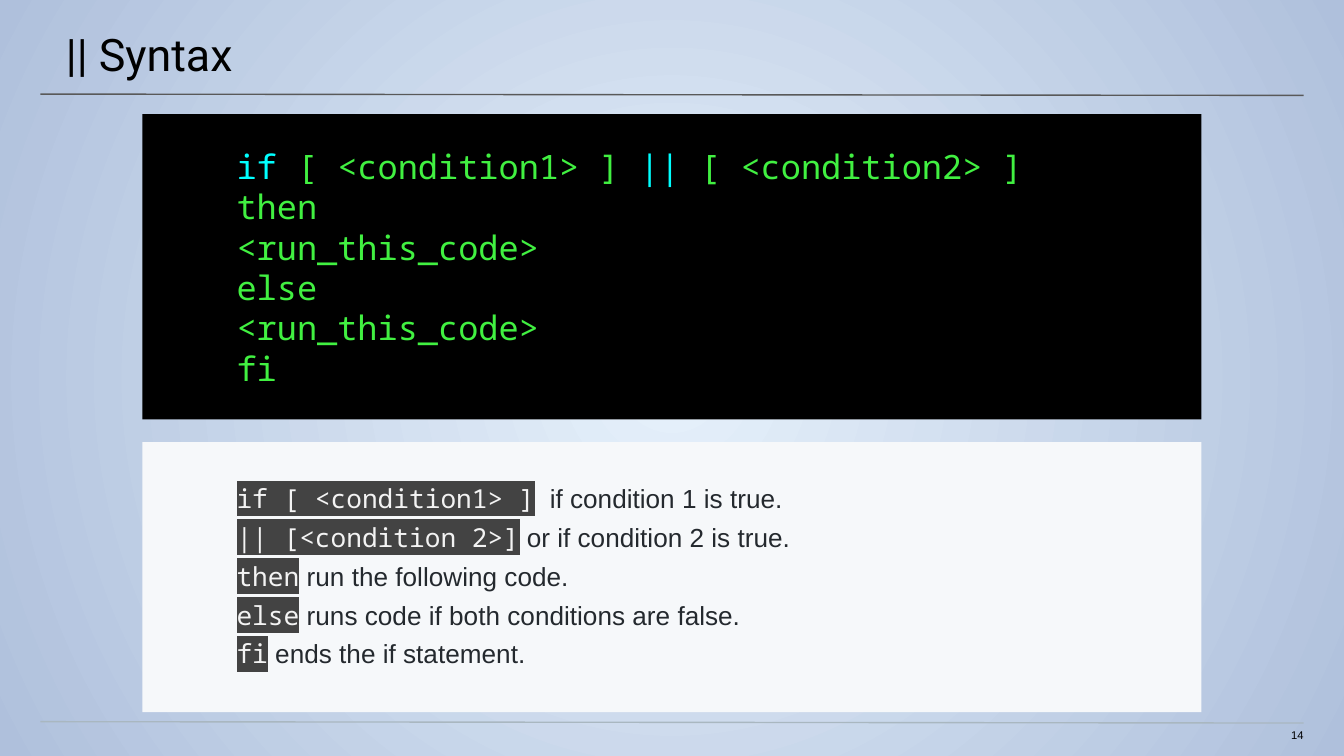
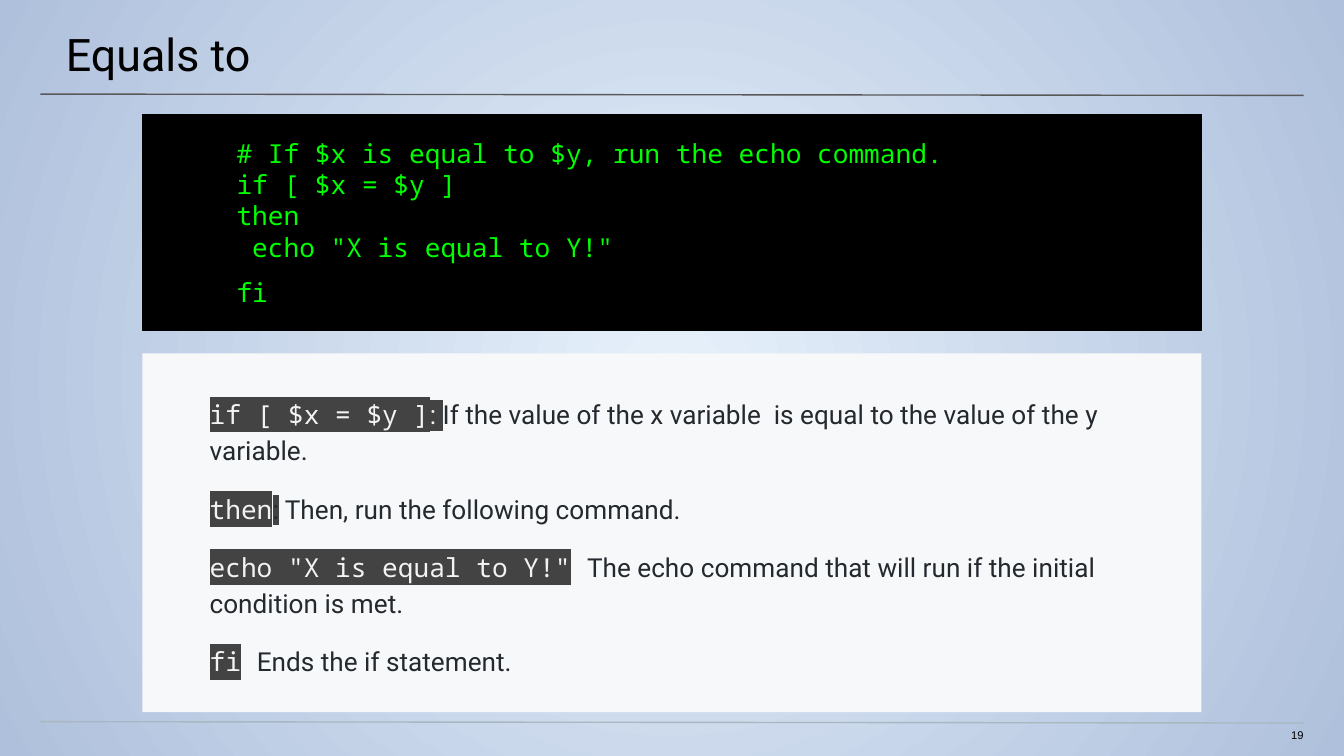
import pptx
import pptx.util
import pptx.dml.color
import pptx.enum.shapes
import pptx.enum.text
import pptx.oxml.ns
from dataclasses import dataclass
from lxml import etree

Inches = pptx.util.Inches
Pt = pptx.util.Pt
qn = pptx.oxml.ns.qn
Align = pptx.enum.text.PP_ALIGN
Anchor = pptx.enum.text.MSO_ANCHOR


# Theme: colours, type sizes and span styles (font, colour, highlight)
@dataclass(frozen=True)
class Theme:
    glow: str = "E6F1FB"
    edge: str = "AFC0DC"
    title_rule: str = "595959"
    footer_rule: str = "A9B7C0"
    terminal: str = "000000"
    paper: str = "F6F8FA"
    ink: str = "24292E"
    pale: str = "F3F3F3"
    chip: str = "434343"
    title_size: int = 24
    large_code_size: int = 18
    body_size: int = 14
    number_size: int = 6


THEME = Theme()
MONO, SANS, ROBOTO = "Noto Sans Mono", "Arial", "Roboto"
STYLES = {
    "title": (ROBOTO, "000000", None),
    "number": (SANS, "000000", None),
    "keyword": (MONO, "00FFFF", THEME.terminal),
    "syntax": (MONO, "41F041", THEME.terminal),
    "command": (MONO, "00FF00", None),
    "chip": (MONO, THEME.pale, THEME.chip),
    "chip colon": (ROBOTO, THEME.pale, THEME.chip),
    "chip dark": (ROBOTO, THEME.ink, THEME.chip),
    "gap": (MONO, THEME.ink, None),
    "plain": (SANS, THEME.ink, None),
    "note": (ROBOTO, THEME.ink, None),
}

# Content: each line is a list of (style, text) spans
SLIDES = [
    dict(
        title="|| Syntax", number="14",
        code=dict(
            height=2.27, insets=(0.7, 0.4, 0.1, 0.4), size=THEME.large_code_size,
            lines=[
                [("keyword", "if"), ("syntax", " [ <condition1> ] "),
                 ("keyword", "||"), ("syntax", " [ <condition2> ]")],
                [("syntax", "then")],
                [("syntax", "<run_this_code>")],
                [("syntax", "else")],
                [("syntax", "<run_this_code>")],
                [("syntax", "fi")],
            ]),
        notes=dict(
            top=3.29, insets=(0.7, 0.3, 0.1, 0.1), gap=4,
            lines=[
                [("chip", "if [ <condition1> ]"), ("plain", "  if condition 1 is true.")],
                [("chip", "|| [<condition 2>]"), ("plain", " or if condition 2 is true.")],
                [("chip", "then"), ("plain", " run the following code.")],
                [("chip", "else"), ("plain", " runs code if both conditions are false.")],
                [("chip", "fi"), ("plain", " ends the if statement.")],
            ]),
    ),
    dict(
        title="Equals to", number="19",
        code=dict(
            height=1.61, insets=(0.7, 0.17, 0.1, 0.17), size=THEME.body_size,
            outline=THEME.terminal, last_spacing=1.45,
            lines=[
                [("command", "# If $x is equal to $y, run the echo command.")],
                [("command", "if [ $x = $y ]")],
                [("command", "then")],
                [("command", ' echo "X is equal to Y!"')],
                [("command", "fi")],
            ]),
        notes=dict(
            top=2.63, insets=(0.5, 0.3, 0.1, 0.1), gap=12, spacing=1.15,
            lines=[
                [("chip", "if [ $x = $y ]"), ("chip colon", ":"), ("chip dark", " "),
                 ("note", "If the value of the x variable  is equal to the value of the y variable.")],
                [("chip", "then"), ("chip dark", ":"),
                 ("note", " Then, run the following command.")],
                [("chip", 'echo "X is equal to Y!"'), ("gap", " "),
                 ("note", "The echo command that will run if the initial condition is met.")],
                [("chip", "fi"), ("gap", " "), ("note", "Ends the if statement.")],
            ]),
    ),
]

# Layout
PANEL_LEFT, PANEL_WIDTH = 1.06, 7.88
CODE_TOP, NOTES_BOTTOM = 0.85, 5.3
RULE_LEFT, RULE_RIGHT = 0.3, 9.7
RULES = [(0.7, THEME.title_rule), (5.37, THEME.footer_rule)]


def rgb(value):
    return pptx.dml.color.RGBColor.from_string(value)


def place(shape, left, top, width, height):
    shape.left, shape.top = Inches(left), Inches(top)
    shape.width, shape.height = Inches(width), Inches(height)


def format_span(span, style, size):
    font, color, highlight = STYLES[style]
    span.font.size = Pt(size)
    span.font.color.rgb = rgb(color)
    span.font.name = font
    if highlight:
        mark = etree.Element(qn("a:highlight"))
        etree.SubElement(mark, qn("a:srgbClr")).set("val", highlight)
        span._r.rPr.find(qn("a:latin")).addprevious(mark)


def write_text(shape, lines, size, insets, anchor=Anchor.TOP, align=Align.LEFT,
               gap=0, spacing=1.0, last_spacing=None):
    frame = shape.text_frame
    frame.word_wrap = True
    frame.auto_size = pptx.enum.text.MSO_AUTO_SIZE.NONE
    frame.vertical_anchor = anchor
    frame.margin_left, frame.margin_top, frame.margin_right, frame.margin_bottom = map(Inches, insets)
    for index, line in enumerate(lines):
        para = frame.paragraphs[0] if index == 0 else frame.add_paragraph()
        settings = para._p.get_or_add_pPr()
        settings.set("marL", "0")
        settings.set("indent", "0")
        etree.SubElement(settings, qn("a:buNone"))
        para.alignment = align
        para.space_before = Pt(gap if index else 0)
        para.space_after = Pt(0)
        is_last = index == len(lines) - 1
        para.line_spacing = last_spacing if is_last and last_spacing else spacing
        for style, text in line:
            span = para.add_run()
            span.text = text
            format_span(span, style, size)


def fill_panel(panel, top, height, color, outline=None):
    place(panel, PANEL_LEFT, top, PANEL_WIDTH, height)
    panel.fill.solid()
    panel.fill.fore_color.rgb = rgb(color)
    if outline:
        panel.line.color.rgb = rgb(outline)
        panel.line.width = Pt(0.75)


def set_background(master):
    fill = master.background.fill
    fill.gradient()
    for stop, color in zip(fill.gradient_stops, (THEME.glow, THEME.edge)):
        stop.color.rgb = rgb(color)
    gradient = master.element.find(".//" + qn("p:bgPr")).find(qn("a:gradFill"))
    circle = etree.Element(qn("a:path"), {"path": "circle"})
    etree.SubElement(circle, qn("a:fillToRect"), {side: "50000" for side in "ltrb"})
    gradient.replace(gradient.find(qn("a:lin")), circle)


def add_rule(page, top, color):
    rule = page.shapes.add_connector(
        pptx.enum.shapes.MSO_CONNECTOR.STRAIGHT,
        Inches(RULE_LEFT), Inches(top), Inches(RULE_RIGHT), Inches(top + 0.01))
    rule.line.color.rgb = rgb(color)
    rule.line.width = Pt(0.75)
    etree.SubElement(rule._element.spPr, qn("a:effectLst"))


def add_page(deck, content):
    page = deck.slides.add_slide(deck.slide_layouts.get_by_name("Two Content"))
    title, code_panel, notes_panel = page.placeholders
    for top, color in RULES:
        add_rule(page, top, color)

    # Title
    place(title, -0.01, 0, 10.03, 0.58)
    write_text(title, [[("title", content["title"])]], THEME.title_size, (0.5, 0.2, 0.3, 0.1))

    # Code panel
    code = content["code"]
    fill_panel(code_panel, CODE_TOP, code["height"], THEME.terminal, code.get("outline"))
    write_text(code_panel, code["lines"], code["size"], code["insets"],
               anchor=Anchor.MIDDLE, last_spacing=code.get("last_spacing"))

    # Explanation panel
    notes = content["notes"]
    fill_panel(notes_panel, notes["top"], NOTES_BOTTOM - notes["top"], THEME.paper)
    write_text(notes_panel, notes["lines"], THEME.body_size, notes["insets"],
               gap=notes["gap"], spacing=notes.get("spacing", 1.0))

    # Page number
    box = page.shapes.add_textbox(Inches(9.41), Inches(5.42), Inches(0.29), Inches(0.12))
    write_text(box, [[("number", content["number"])]], THEME.number_size,
               (0, 0, 0, 0.1), align=Align.RIGHT)


def main():
    deck = pptx.Presentation()
    deck.slide_width = Inches(10)
    deck.slide_height = deck.slide_width * 9 // 16
    set_background(deck.slide_master)
    for content in SLIDES:
        add_page(deck, content)
    deck.save("out.pptx")


if __name__ == "__main__":
    main()
